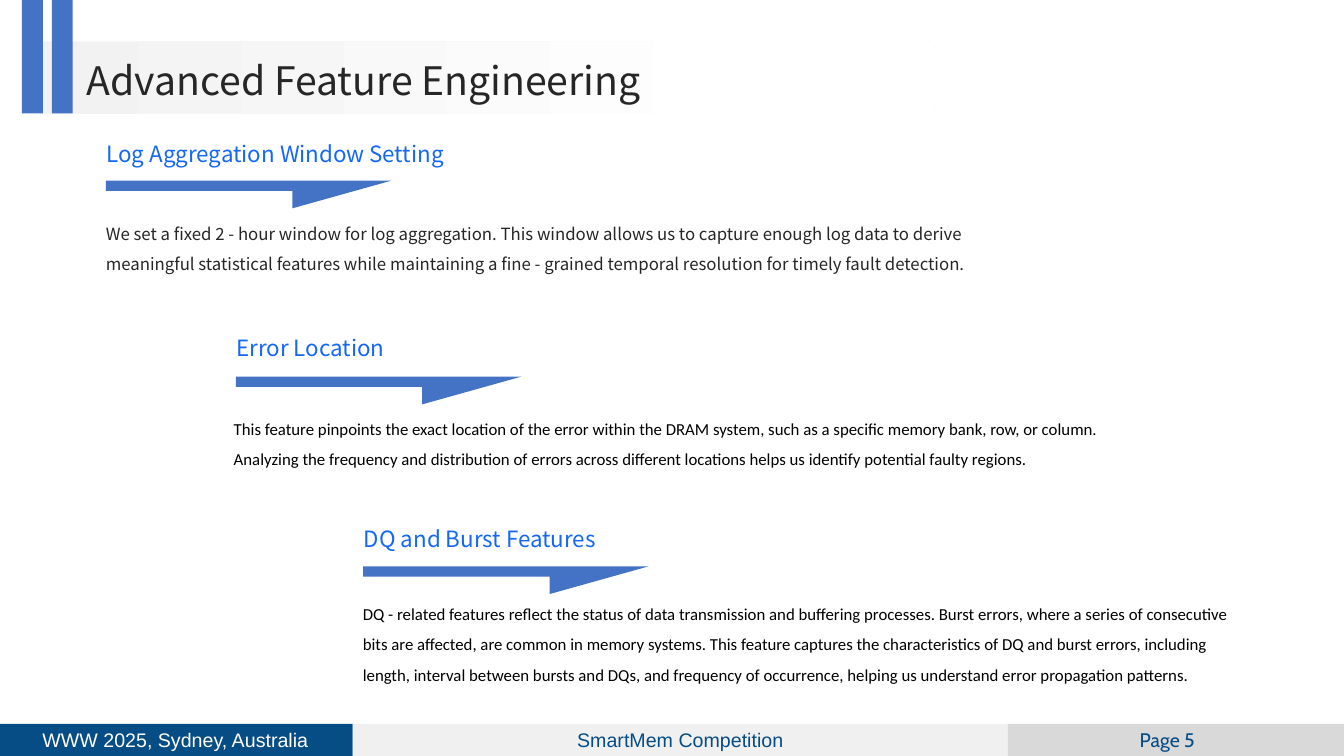
from dataclasses import dataclass
from typing import Optional

from pptx import Presentation
from pptx.dml.color import RGBColor
from pptx.enum.shapes import MSO_SHAPE
from pptx.enum.text import MSO_ANCHOR, MSO_AUTO_SIZE, PP_ALIGN
from pptx.util import Pt


@dataclass(frozen=True)
class Theme:
    accent: str = "4472C4"
    heading: str = "1467F7"
    ink: str = "262626"
    black: str = "000000"
    white: str = "FFFFFF"
    navy: str = "064C85"
    pale: str = "F0F0F0"
    grey: str = "D9D9D9"
    band: str = "F2F2F2"
    main_font: str = "Noto Sans CJK SC"
    body_font: str = "Calibri"
    footer_font: str = "Arial"
    page_font: str = "Cabin"
    title_size: float = 28
    heading_size: float = 16
    footer_size: float = 14
    body_size: float = 12


@dataclass(frozen=True)
class Section:
    heading: str
    body: str
    left: float
    heading_top: float
    arrow_top: float
    body_left: float
    body_top: float
    body_height: float
    font: str
    color: str


@dataclass(frozen=True)
class FooterPart:
    label: str
    left: float
    width: float
    fill: str
    font: str
    color: str
    label_left: Optional[float] = None  # None keeps the label inside the panel


THEME = Theme()
TEXT_WIDTH = 623.5

SECTIONS = [
    Section(
        "Log Aggregation Window Setting",
        "We set a fixed 2 - hour window for log aggregation. This window allows us to "
        "capture enough log data to derive meaningful statistical features while "
        "maintaining a fine - grained temporal resolution for timely fault detection.",
        75.6, 94.3, 129, 75.6, 152.6, 48, THEME.main_font, THEME.ink),
    Section(
        "Error Location",
        "This feature pinpoints the exact location of the error within the DRAM system, "
        "such as a specific memory bank, row, or column. Analyzing the frequency and "
        "distribution of errors across different locations helps us identify potential "
        "faulty regions.",
        168.4, 232.6, 269, 167, 291.6, 48, THEME.body_font, THEME.black),
    Section(
        "DQ and Burst Features",
        "DQ - related features reflect the status of data transmission and buffering "
        "processes. Burst errors, where a series of consecutive bits are affected, are "
        "common in memory systems. This feature captures the characteristics of DQ and "
        "burst errors, including length, interval between bursts and DQs, and frequency "
        "of occurrence, helping us understand error propagation patterns.",
        259.4, 369.4, 404.5, 259.2, 424.1, 96, THEME.body_font, THEME.black),
]

FOOTER = [
    FooterPart("WWW 2025, Sydney, Australia", 0, 252, THEME.navy,
               THEME.footer_font, THEME.white, 17.3),
    FooterPart("SmartMem Competition", 252, 468, THEME.pale,
               THEME.footer_font, THEME.navy),
    FooterPart("Page 5", 720, 240, THEME.grey,
               THEME.page_font, THEME.navy, 725.8),
]


def write(holder, text: str, *, size: float, color: str, font: str,
          spacing: float = 1.0, align=PP_ALIGN.LEFT, anchor=MSO_ANCHOR.TOP) -> None:
    frame = holder.text_frame
    frame.word_wrap = True
    frame.auto_size = MSO_AUTO_SIZE.NONE
    frame.vertical_anchor = anchor
    frame.margin_left = frame.margin_right = frame.margin_top = frame.margin_bottom = 0
    paragraph = frame.paragraphs[0]
    paragraph.alignment = align
    paragraph.line_spacing = spacing
    run = paragraph.add_run()
    run.text = text
    run.font.size = Pt(size)
    run.font.name = font
    run.font.color.rgb = RGBColor.from_string(color)


def add_box(slide, left: float, top: float, width: float, height: float):
    return slide.shapes.add_textbox(Pt(left), Pt(top), Pt(width), Pt(height))


def paint(shape, color: str) -> None:
    shape.shadow.inherit = False
    shape.line.fill.background()
    shape.fill.solid()
    shape.fill.fore_color.rgb = RGBColor.from_string(color)


def add_panel(slide, left: float, top: float, width: float, height: float,
              color: str, kind=MSO_SHAPE.RECTANGLE):
    panel = slide.shapes.add_shape(kind, Pt(left), Pt(top), Pt(width), Pt(height))
    paint(panel, color)
    return panel


def add_footer_part(slide, part: FooterPart) -> None:
    holder = add_panel(slide, part.left, 517, part.width, 23, part.fill)
    if part.label_left is not None:
        holder = add_box(slide, part.label_left, 514, 216, 29)
    write(holder, part.label, size=THEME.footer_size, color=part.color,
          font=part.font, align=PP_ALIGN.CENTER, anchor=MSO_ANCHOR.MIDDLE)


def add_half_arrow(slide, left: float, top: float) -> None:
    width, height, notch, bar = 204, 19.8, 133.2, 7.4
    outline = slide.shapes.build_freeform(Pt(left), Pt(top))
    corners = [(width, 0), (notch, height), (notch, bar), (0, bar)]
    outline.add_line_segments(
        [(Pt(left + x), Pt(top + y)) for x, y in corners], close=True)
    paint(outline.convert_to_shape(), THEME.accent)


def add_section(slide, section: Section) -> None:
    add_half_arrow(slide, section.left, section.arrow_top)
    write(add_box(slide, section.left + 0.6, section.heading_top, TEXT_WIDTH, 34),
          section.heading, size=THEME.heading_size, color=THEME.heading,
          font=THEME.main_font, spacing=1.3)
    write(add_box(slide, section.body_left, section.body_top, TEXT_WIDTH,
                  section.body_height),
          section.body, size=THEME.body_size, color=section.color,
          font=section.font, spacing=1.5)


def add_title(slide, text: str) -> None:
    # Fading band, placed behind the title
    band = add_panel(slide, 25.2, 29.5, 643.7, 51.8, THEME.band,
                     MSO_SHAPE.ROUNDED_RECTANGLE)
    band.adjustments[0] = 0.139
    band.fill.gradient()
    band.fill.gradient_angle = 0
    for stop, (position, color) in zip(band.fill.gradient_stops,
                                       [(0, THEME.band), (0.8, THEME.white)]):
        stop.position = position
        stop.color.rgb = RGBColor.from_string(color)
    title = slide.shapes.title
    title.element.addprevious(band.element)

    title.left, title.top, title.width, title.height = Pt(62), Pt(36.7), Pt(840), Pt(36.7)
    write(title, text, size=THEME.title_size, color=THEME.ink, font=THEME.main_font,
          spacing=1.1, anchor=MSO_ANCHOR.MIDDLE)

    # Twin bars
    for left in (15.6, 37):
        add_panel(slide, left, 0, 15, 81, THEME.accent)


def main() -> None:
    deck = Presentation()
    deck.slide_width, deck.slide_height = Pt(960), Pt(540)
    slide = deck.slides.add_slide(deck.slide_layouts[5])
    for part in FOOTER:
        add_footer_part(slide, part)
    add_title(slide, "Advanced Feature Engineering")
    for section in SECTIONS:
        add_section(slide, section)
    deck.save("out.pptx")


if __name__ == "__main__":
    main()
